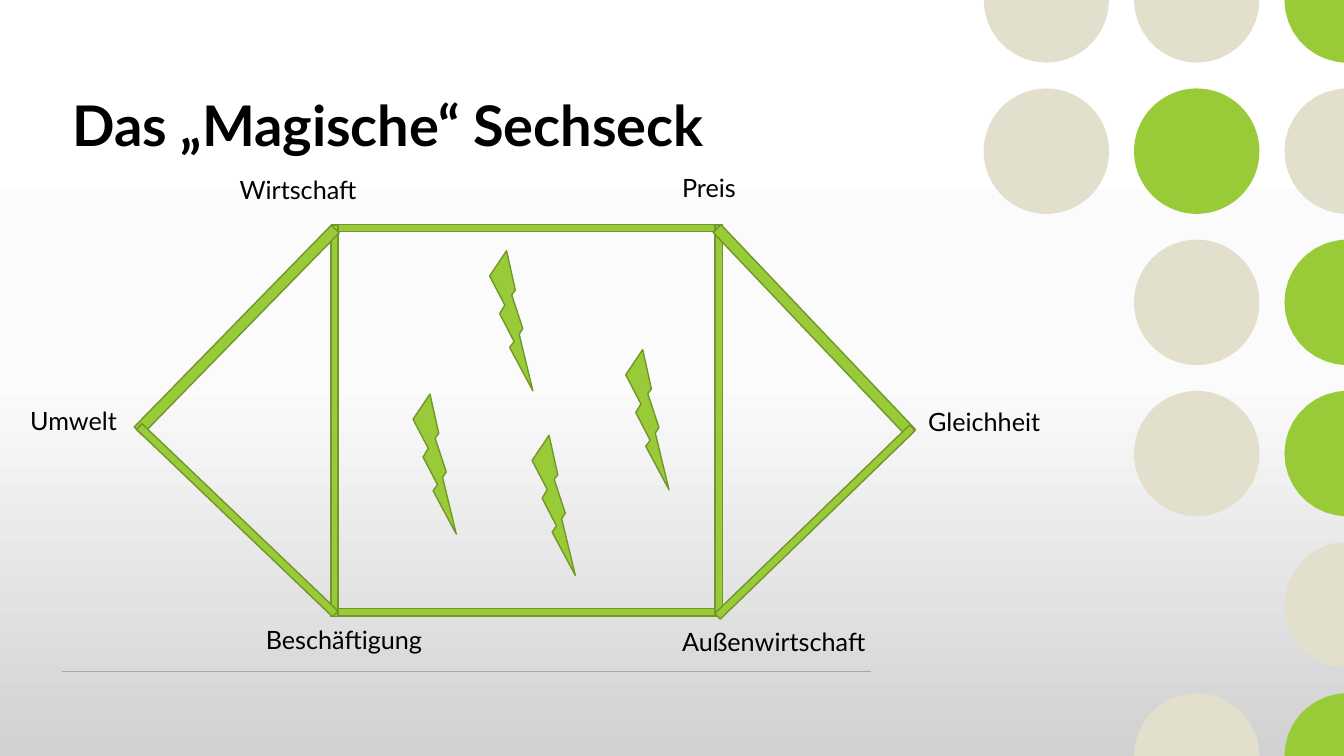
import math
from copy import deepcopy
from dataclasses import dataclass
from typing import Any

import pptx
import pptx.dml.color
import pptx.enum.shapes
import pptx.enum.text
import pptx.oxml.ns
import pptx.util
from lxml import etree

Cm = pptx.util.Cm
Pt = pptx.util.Pt
Kind = pptx.enum.shapes.MSO_SHAPE
WIDTH, HEIGHT = 33.87, 19.05


@dataclass(frozen=True)
class Theme:
    """Colours, font and type sizes of the slide."""
    green: str = "99CB38"
    edge: str = "719629"
    sand: str = "E2DFCC"
    rule: str = "A6A6A6"
    ink: str = "000000"
    sky: tuple = ((0, "FFFFFF"), (0.5, "FBFBFB"), (1, "D1D1D1"))
    font: str = "Lato"
    head: int = 40
    body: int = 18


@dataclass(frozen=True)
class Bar:
    """A beam between two points, in cm."""
    x1: float
    y1: float
    x2: float
    y2: float
    thick: float = 0.18


@dataclass(frozen=True)
class Label:
    """A text with its box, in cm."""
    text: str
    x: float
    y: float
    w: float = 5.54
    h: float = 1.8
    size: int = Theme.body
    bold: bool = False


@dataclass(frozen=True)
class Bolt:
    """A flash with its top left corner, in cm."""
    x: float
    y: float


THEME = Theme()
DOTS = ("SSG", "SGS", " SG", " SG", "  S", " SG")
DOT_X, STEP_X, STEP_Y, RADIUS = 26.37, 3.79, 3.81, 1.58
BARS = (
    Bar(8.36, 5.75, 18.21, 5.75),
    Bar(8.36, 15.43, 18.21, 15.43),
    Bar(8.43, 5.68, 8.43, 15.53),
    Bar(18.11, 5.68, 18.11, 15.53),
    Bar(3.48, 10.86, 8.45, 5.77, 0.28),
    Bar(3.51, 10.75, 8.45, 15.47, 0.2),
    Bar(18.07, 5.76, 22.97, 10.92, 0.28),
    Bar(22.99, 10.78, 18.08, 15.53, 0.2),
)
BOLTS = (Bolt(12.34, 6.32), Bolt(10.41, 9.93),
         Bolt(15.77, 8.81), Bolt(13.41, 10.97))
LABELS = (
    Label("Das „Magische“ Sechseck", 1.57, 2.15, 20.37, 3.53,
          THEME.head, True),
    Label("Wirtschaft", 5.79, 4.27),
    Label("Preis", 16.94, 4.22, h=2.57),
    Label("Gleichheit", 23.14, 10.11),
    Label("Umwelt", 0.51, 10.08),
    Label("Beschäftigung", 6.45, 15.6, h=2.57),
    Label("Außenwirtschaft", 16.94, 15.67, h=2.57),
)


def rgb(code: str) -> pptx.dml.color.RGBColor:
    """Turn a hex code into a colour."""
    return pptx.dml.color.RGBColor.from_string(code)


def paint(shape: Any, fill: str, edge: str = "") -> None:
    """Fill a shape flat, with a thin edge if one is given."""
    shape.shadow.inherit = False
    shape.fill.solid()
    shape.fill.fore_color.rgb = rgb(fill)
    if edge:
        shape.line.color.rgb = rgb(edge)
        shape.line.width = Pt(1)
    else:
        shape.line.fill.background()


def draw_sky(slide: Any) -> None:
    """Give the slide its three-stop gradient from top to bottom."""
    fill = slide.background.fill
    fill.gradient()
    fill.gradient_angle = 270
    stops = slide.element.find(".//" + pptx.oxml.ns.qn("a:gsLst"))
    stops.append(deepcopy(stops[0]))
    for stop, (place, code) in zip(fill.gradient_stops, THEME.sky):
        stop.position = place
        stop.color.rgb = rgb(code)


def cut_dot(x: float, y: float) -> list[tuple[int, int]]:
    """Outline the part of a disc that lies on the slide."""
    points = []
    for turn in range(0, 360, 10):
        px = x + RADIUS * math.cos(math.radians(turn))
        py = y + RADIUS * math.sin(math.radians(turn))
        near = min(px, WIDTH), min(max(py, 0), HEIGHT)
        if turn % 90 == 0 or near == (px, py):
            points.append((Cm(near[0]), Cm(near[1])))
    return points


def draw_dot(slide: Any, x: float, y: float, fill: str) -> None:
    """Draw a disc around a centre, cut off at the slide edges."""
    inside = x + RADIUS <= WIDTH and RADIUS <= y <= HEIGHT - RADIUS
    if inside:
        dot = slide.shapes.add_shape(Kind.OVAL, Cm(x - RADIUS), Cm(y - RADIUS),
                                     Cm(2 * RADIUS), Cm(2 * RADIUS))
    else:
        points = cut_dot(x, y)
        pen = slide.shapes.build_freeform(*points[0])
        pen.add_line_segments(points[1:])
        dot = pen.convert_to_shape()
    paint(dot, fill)


def draw_dots(slide: Any) -> None:
    """Draw the grid of discs on the right."""
    fills = {"S": THEME.sand, "G": THEME.green}
    for row, marks in enumerate(DOTS):
        for col, mark in enumerate(marks):
            if mark in fills:
                draw_dot(slide, DOT_X + col * STEP_X, row * STEP_Y, fills[mark])


def draw_rule(slide: Any) -> None:
    """Draw the thin line at the foot."""
    line = slide.shapes.add_connector(
        pptx.enum.shapes.MSO_CONNECTOR.STRAIGHT,
        Cm(1.57), Cm(16.92), Cm(21.95), Cm(16.92))
    line.line.color.rgb = rgb(THEME.rule)
    line.line.width = Pt(1)
    etree.SubElement(line.element.spPr, pptx.oxml.ns.qn("a:effectLst"))


def draw_bar(slide: Any, bar: Bar) -> None:
    """Draw a beam as a rectangle turned towards its end."""
    run, rise = bar.x2 - bar.x1, bar.y2 - bar.y1
    length = math.hypot(run, rise)
    shape = slide.shapes.add_shape(
        Kind.RECTANGLE, Cm((bar.x1 + bar.x2 - length) / 2),
        Cm((bar.y1 + bar.y2 - bar.thick) / 2), Cm(length), Cm(bar.thick))
    shape.rotation = math.degrees(math.atan2(rise, run))
    paint(shape, THEME.green, THEME.edge)


def draw_bolt(slide: Any, bolt: Bolt) -> None:
    """Draw a flash."""
    shape = slide.shapes.add_shape(Kind.LIGHTNING_BOLT, Cm(bolt.x),
                                   Cm(bolt.y), Cm(1.09), Cm(3.53))
    paint(shape, THEME.green, THEME.edge)


def draw_label(slide: Any, label: Label) -> None:
    """Write a text at the top of its box."""
    box = slide.shapes.add_textbox(Cm(label.x), Cm(label.y),
                                   Cm(label.w), Cm(label.h))
    frame = box.text_frame
    frame.word_wrap = True
    frame.vertical_anchor = pptx.enum.text.MSO_ANCHOR.TOP
    frame.text = label.text
    font = frame.paragraphs[0].font
    font.name, font.size, font.bold = THEME.font, Pt(label.size), label.bold
    font.color.rgb = rgb(THEME.ink)


def main() -> None:
    """Build the slide and save it."""
    deck = pptx.Presentation()
    deck.slide_width, deck.slide_height = Cm(WIDTH), Cm(HEIGHT)
    slide = deck.slides.add_slide(deck.slide_layouts[6])
    draw_sky(slide)
    draw_dots(slide)
    draw_rule(slide)
    for bar in BARS:
        draw_bar(slide, bar)
    for bolt in BOLTS:
        draw_bolt(slide, bolt)
    for label in LABELS:
        draw_label(slide, label)
    deck.save("out.pptx")


main()
